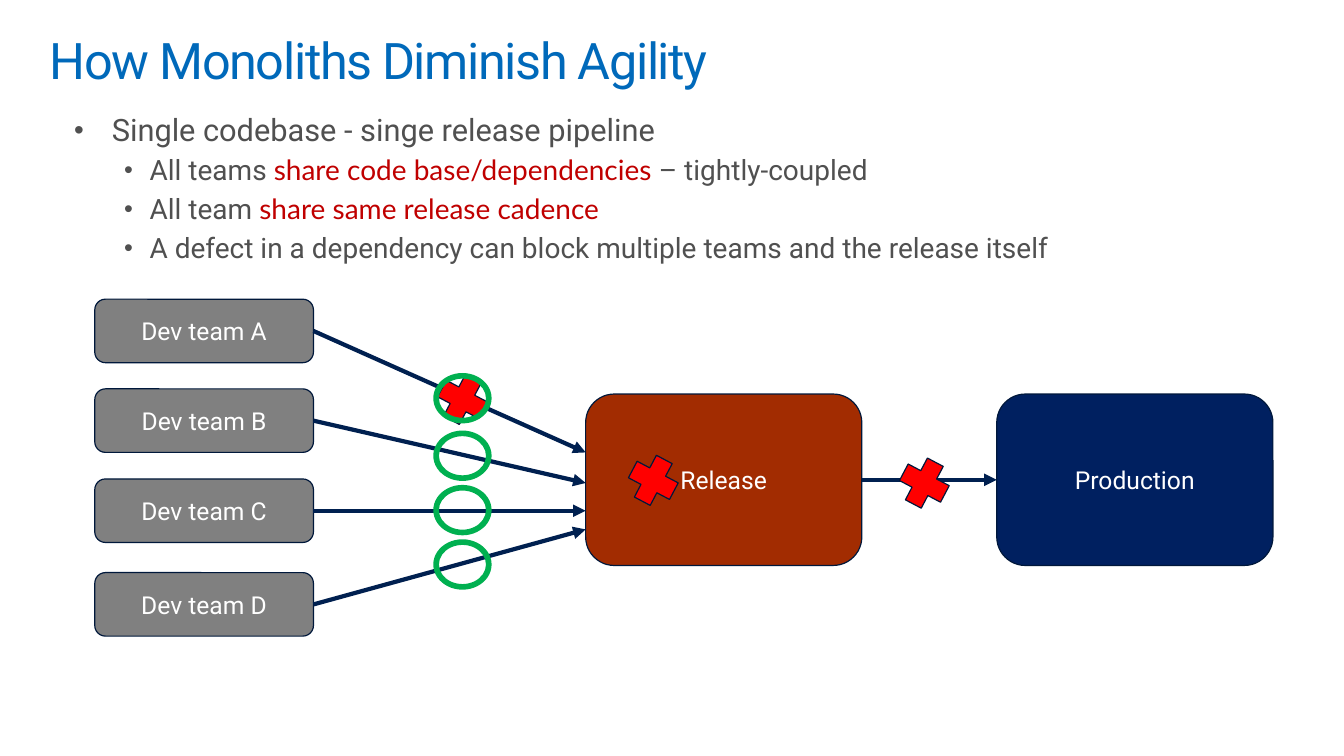
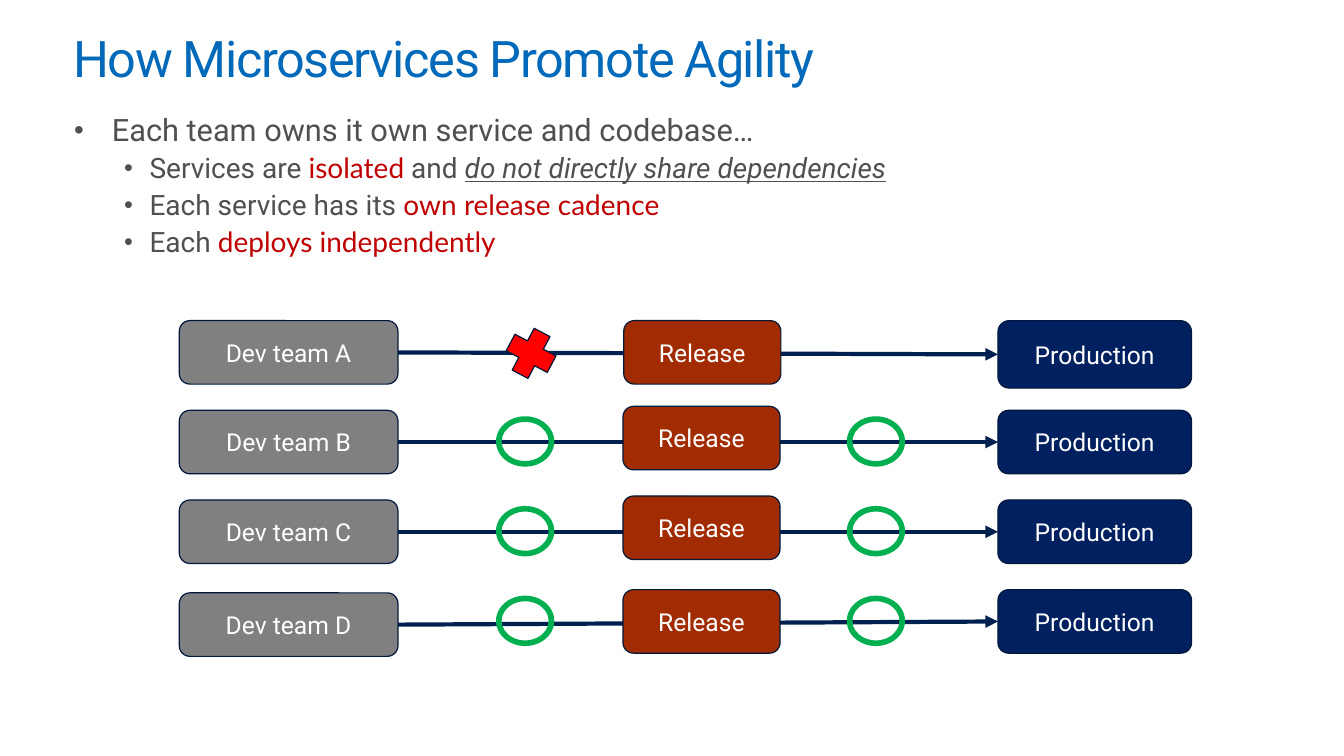
"""Build two slides that compare release agility of monoliths and microservices."""
from lxml.etree import SubElement
from pptx import Presentation
from pptx.dml.color import RGBColor
from pptx.enum.shapes import MSO_CONNECTOR, MSO_SHAPE
from pptx.enum.text import MSO_ANCHOR, PP_ALIGN
from pptx.oxml.ns import qn
from pptx.util import Cm, Pt

COLORS = {
    "title": "0069BA", "text": "505050", "accent": "C00000", "white": "FFFFFF",
    "team": "808080", "release": "A22C01", "production": "002060",
    "outline": "00183B", "arrow": "002050", "cross": "FF0000", "ring": "00B050",
}
RUN_FORMATS = {
    "title": {"name": "Roboto", "size": Pt(36)},
    "lead": {"name": "Roboto", "size": Pt(22)},
    "text": {"name": "Roboto", "size": Pt(20)},
    "accent": {"name": "Lato", "size": Pt(20)},
    "stress": {"name": "Roboto", "size": Pt(20), "italic": True, "underline": True},
    "label": {"name": "Roboto", "size": Pt(17.6)},
}
RUN_COLORS = {"title": "title", "accent": "accent", "label": "white"}
FRAME_FORMAT = {
    "word_wrap": True, "vertical_anchor": MSO_ANCHOR.TOP,
    "margin_left": Cm(0.4), "margin_right": Cm(0.4),
    "margin_top": Cm(0.25), "margin_bottom": Cm(0.25),
}
BULLET_INDENTS = [(Cm(0.95), Cm(-0.95)), (Cm(1.9), Cm(-0.64))]
BODY_BOX = (1.47, 2.65, 29.21, 4.2)

TEAMS = ["Dev team A", "Dev team B", "Dev team C", "Dev team D"]
TEAM_SIZE = (5.51, 1.6)
STAGE_SIZE = (6.96, 4.32)
CROSS_SIZE = (1.17, 1.19)
RING_SIZE = (1.47, 1.27)
ROW_PITCH = 2.26

SLIDES = [
    {
        "title": "How Monoliths Diminish Agility",
        "title_box": (0.86, 0.66, 29.21, 2.18),
        "space": Pt(6),
        "bullets": [
            [("Single codebase - singe release pipeline", "lead")],
            [("All teams ", "text"), ("share code base/dependencies", "accent"),
             (" – tightly-coupled", "text")],
            [("All team ", "text"), ("share same release cadence", "accent")],
            [("A defect in a dependency can block multiple teams and the release itself",
              "text")],
        ],
    },
    {
        "title": "How Microservices Promote Agility",
        "title_box": (1.45, 0.61, 29.21, 1.8),
        "space": Pt(4.6),
        "bullets": [
            [("Each team owns it own service and codebase…", "lead")],
            [("Services are ", "text"), ("isolated", "accent"), (" and ", "text"),
             ("do not directly share dependencies", "stress")],
            [("Each service has its ", "text"), ("own release cadence", "accent")],
            [("Each ", "text"), ("deploys independently", "accent")],
        ],
    },
]


def add_figure(slide, role, left, top, size, label=None):
    kinds = {"cross": MSO_SHAPE.CROSS, "ring": MSO_SHAPE.DONUT}
    kind = kinds.get(role, MSO_SHAPE.ROUNDED_RECTANGLE)
    shape = slide.shapes.add_shape(kind, *map(Cm, (left, top, *size)))
    shape.shadow.inherit = False
    shape.fill.solid()
    shape.fill.fore_color.rgb = RGBColor.from_string(COLORS[role])
    if role == "ring":
        shape.adjustments[0] = 0.112
        shape.line.fill.background()
    else:
        shape.line.color.rgb = RGBColor.from_string(COLORS["outline"])
        shape.line.width = Pt(0.85)
    if role == "cross":
        shape.adjustments[0] = 0.307
        shape.rotation = 27.8
    if label:
        shape.text_frame.vertical_anchor = MSO_ANCHOR.MIDDLE
        paragraph = shape.text_frame.paragraphs[0]
        paragraph.alignment = PP_ALIGN.CENTER
        run = paragraph.add_run()
        run.text = label
        for name, value in RUN_FORMATS["label"].items():
            setattr(run.font, name, value)
        run.font.color.rgb = RGBColor.from_string(COLORS[RUN_COLORS["label"]])
    return shape


def add_arrow(slide, source, target=None, point=(0, 0)):
    end = tuple(map(Cm, point))
    connector = slide.shapes.add_connector(MSO_CONNECTOR.STRAIGHT, *end, *end)
    connector.begin_connect(source, 3)
    if target is not None:
        connector.end_connect(target, 1)
    connector.line.color.rgb = RGBColor.from_string(COLORS["arrow"])
    connector.line.width = Pt(3)
    properties = connector.element.spPr
    SubElement(properties.find(qn("a:ln")), qn("a:tailEnd"), type="triangle")
    SubElement(properties, qn("a:effectLst"))


presentation = Presentation()
presentation.slide_width = Cm(33.87)
presentation.slide_height = Cm(19.05)

for content in SLIDES:
    slide = presentation.slides.add_slide(presentation.slide_layouts[6])
    text_boxes = [
        (content["title_box"], [[(content["title"], "title")]]),
        (BODY_BOX, content["bullets"]),
    ]
    for box, paragraphs in text_boxes:
        frame = slide.shapes.add_textbox(*map(Cm, box)).text_frame
        for name, value in FRAME_FORMAT.items():
            setattr(frame, name, value)
        for index, runs in enumerate(paragraphs):
            paragraph = frame.add_paragraph() if index else frame.paragraphs[0]
            paragraph.line_spacing = 0.9
            if index:
                paragraph.level = 1
                paragraph.space_before = content["space"]
            if box == BODY_BOX:
                properties = paragraph._p.get_or_add_pPr()
                margin, indent = BULLET_INDENTS[paragraph.level]
                properties.set("marL", str(margin))
                properties.set("indent", str(indent))
                SubElement(properties, qn("a:buSzPct"), val="90000")
                SubElement(properties, qn("a:buFont"), typeface="Arial")
                SubElement(properties, qn("a:buChar"), char="•")
            for text, style in runs:
                run = paragraph.add_run()
                run.text = text
                for name, value in RUN_FORMATS[style].items():
                    setattr(run.font, name, value)
                color = COLORS[RUN_COLORS.get(style, "text")]
                run.font.color.rgb = RGBColor.from_string(color)
                if style == "title":
                    run.font._element.set("spc", "-100")

monolith, microservices = presentation.slides

release = add_figure(monolith, "release", 14.76, 9.93, STAGE_SIZE, "Release")
production = add_figure(monolith, "production", 25.12, 9.93, STAGE_SIZE, "Production")
for team, top, arrow_end in zip(
    TEAMS, (7.54, 9.8, 12.07, 14.43), (11.4, 12.17, 12.87, 13.34)
):
    shape = add_figure(monolith, "team", 2.39, top, TEAM_SIZE, team)
    add_arrow(monolith, shape, point=(14.76, arrow_end))
add_arrow(monolith, release, production)
for left, top in ((11.07, 9.47), (22.71, 11.58), (15.88, 11.51)):
    add_figure(monolith, "cross", left, top, CROSS_SIZE)
for top in (9.4, 10.85, 12.22, 13.59):
    add_figure(monolith, "ring", 10.92, top, RING_SIZE)

for row, team in enumerate(TEAMS):
    top = 8.08 + row * ROW_PITCH
    team_top = top if row < 3 else top + 0.08
    release_left, release_top = (15.7, top - 0.1) if row else (15.72, top)
    if row == 3:
        release_top = top
    production_size = (4.88, 1.6 if row else 1.7)
    shape = add_figure(microservices, "team", 4.52, team_top, TEAM_SIZE, team)
    production = add_figure(
        microservices, "production", 25.15, top, production_size, "Production")
    add_arrow(microservices, shape, production)
    add_figure(microservices, "release", release_left, release_top, (3.96, 1.6), "Release")
    if row:
        for left in (12.5, 21.34):
            add_figure(microservices, "ring", left, top + 0.15, RING_SIZE)
    else:
        add_figure(microservices, "cross", 12.8, 8.31, CROSS_SIZE)

presentation.save("out.pptx")
